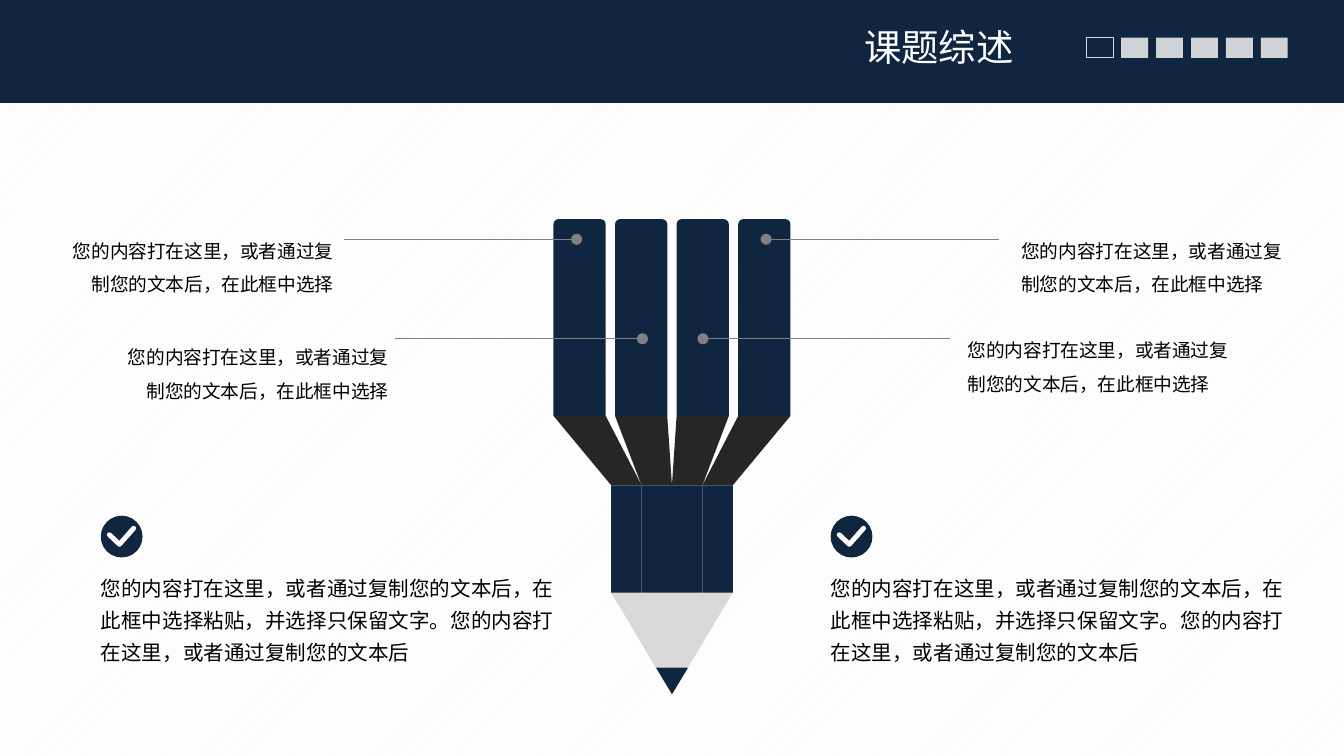
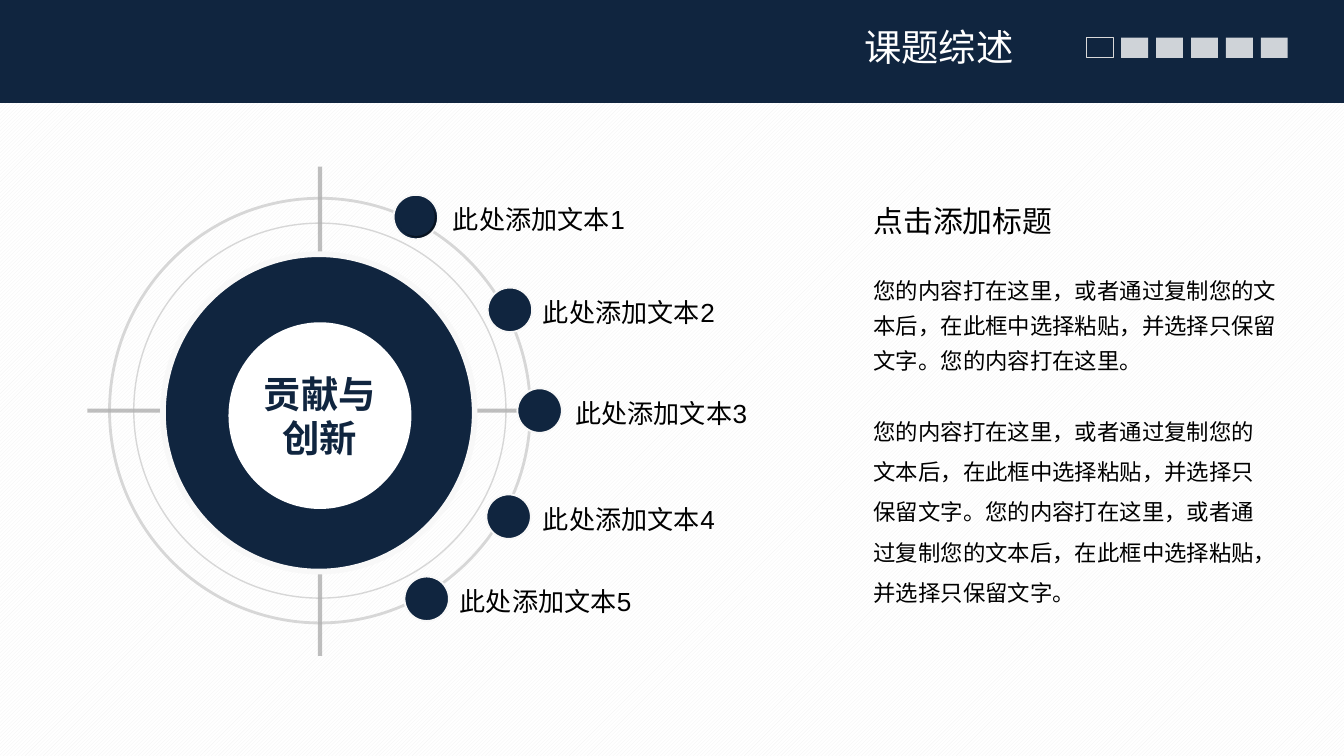
from dataclasses import dataclass

from lxml.etree import SubElement
from pptx import Presentation
from pptx.dml.color import RGBColor
from pptx.enum.dml import MSO_PATTERN
from pptx.enum.shapes import MSO_CONNECTOR, MSO_SHAPE as Preset
from pptx.enum.text import MSO_ANCHOR as Anchor, PP_ALIGN as Align
from pptx.oxml.ns import qn
from pptx.shapes.autoshape import Shape
from pptx.slide import Slide
from pptx.util import Pt

COLORS = {
    "navy": "10253F", "white": "FFFFFF", "hatch": "F2F2F2", "silver": "D9D9D9",
    "wood": "262626", "gray": "808080", "ring": "B2B2B2", "rim": "F8F8F8", "black": "000000",
}
CJK_FONT = "Noto Sans CJK SC"
LATIN_FONT = "Arial"
LINE_RATIO = 1.2
NO_INSET = (0, 0)
INSET = (5.8, 2.9)
TITLE_INSET = (7.2, 3.6)
PAGE_W, PAGE_H = 720, 405

SHORT_TEXT = "您的内容打在这里，或者通过复制您的文本后，在此框中选择"
PASTE_TEXT = SHORT_TEXT + "粘贴，并选择只保留文字。"
LONG_TEXT = PASTE_TEXT + "您的内容打在这里，或者通过复制您的文本后"


@dataclass(frozen=True)
class Style:
    size: float
    spacing: float = 1.0
    align: Align = Align.LEFT
    color: str = "black"
    font: str = CJK_FONT
    bold: bool = False
    inset: tuple[float, float] = INSET
    anchor: Anchor = Anchor.TOP
    wrap: bool = True


@dataclass(frozen=True)
class Callout:
    text_x: float
    text_y: float
    line_from: float
    line_to: float
    line_y: float
    align: Align


@dataclass(frozen=True)
class Topic:
    x: float
    y: float
    label_x: float


TITLE = Style(20, align=Align.RIGHT, color="white", inset=TITLE_INSET)
NOTE = Style(11, 1.3, inset=NO_INSET)
HUB = Style(20, align=Align.CENTER, color="navy", font=LATIN_FONT, bold=True,
            anchor=Anchor.MIDDLE, wrap=False)
LABEL = Style(14, font=LATIN_FONT, anchor=Anchor.MIDDLE)
HEADING = Style(16)

CALLOUTS = [
    Callout(36.7, 122.4, 184.3, 308.9, 128.2, Align.RIGHT),
    Callout(66.2, 179.3, 211.7, 344.2, 181.5, Align.RIGHT),
    Callout(547.2, 122.4, 535, 410.4, 128.2, Align.LEFT),
    Callout(518.4, 175.7, 509, 376.6, 181.5, Align.LEFT),
]
TOPICS = [
    Topic(222.8, 116.3, 236.9),
    Topic(273.2, 166, 285.1),
    Topic(289.1, 220, 302.4),
    Topic(272.5, 276.8, 285.1),
    Topic(228.6, 320.8, 240.5),
]


def rgb(color: str) -> RGBColor:
    return RGBColor.from_string(COLORS[color])


def set_alpha(holder, percent: int) -> None:
    for color in holder.iter(qn("a:srgbClr")):
        SubElement(color, qn("a:alpha")).set("val", str(percent * 1000))


def paint(shape: Shape, fill: str | None, line: str | None = None, width: float = 0) -> Shape:
    shape.shadow.inherit = False
    if fill:
        shape.fill.solid()
        shape.fill.fore_color.rgb = rgb(fill)
    else:
        shape.fill.background()
    if line:
        shape.line.color.rgb = rgb(line)
        shape.line.width = Pt(width)
    else:
        shape.line.fill.background()
    return shape


def add_preset(slide: Slide, kind: Preset, x: float, y: float, w: float, h: float,
               fill: str | None, line: str | None = None, width: float = 0) -> Shape:
    return paint(slide.shapes.add_shape(kind, Pt(x), Pt(y), Pt(w), Pt(h)), fill, line, width)


def add_ellipse(slide: Slide, cx: float, cy: float, w: float, h: float,
                fill: str | None, line: str | None = None, width: float = 0) -> Shape:
    return add_preset(slide, Preset.OVAL, cx - w / 2, cy - h / 2, w, h, fill, line, width)


def add_outline(slide: Slide, points: list[tuple[float, float]], fill: str,
                line: str | None = None, width: float = 0, close: bool = True) -> Shape:
    corners = [(Pt(x), Pt(y)) for x, y in points]
    builder = slide.shapes.build_freeform(*corners[0], scale=1.0)
    builder.add_line_segments(corners[1:], close=close)
    return paint(builder.convert_to_shape(), fill, line, width)


def add_line(slide: Slide, x1: float, y1: float, x2: float, y2: float, width: float,
             alpha: int = 100, dot: bool = False) -> None:
    rule = slide.shapes.add_connector(MSO_CONNECTOR.STRAIGHT, Pt(x1), Pt(y1), Pt(x2), Pt(y2))
    rule.line.color.rgb = rgb("gray")
    rule.line.width = Pt(width)
    properties = rule._element.spPr
    if alpha < 100:
        set_alpha(properties, alpha)
    if dot:
        SubElement(properties.find(qn("a:ln")), qn("a:tailEnd")).set("type", "oval")
    SubElement(properties, qn("a:effectLst"))


def write(shape: Shape, lines: list[str], style: Style) -> None:
    frame = shape.text_frame
    side, edge = (Pt(value) for value in style.inset)
    frame_format = {
        "word_wrap": style.wrap, "vertical_anchor": style.anchor,
        "margin_left": side, "margin_right": side, "margin_top": edge, "margin_bottom": edge,
    }
    for attribute, value in frame_format.items():
        setattr(frame, attribute, value)
    font_format = {"size": Pt(style.size), "name": style.font, "bold": style.bold}
    for index, line in enumerate(lines):
        paragraph = frame.add_paragraph() if index else frame.paragraphs[0]
        paragraph.alignment = style.align
        paragraph.line_spacing = Pt(round(style.size * LINE_RATIO * style.spacing, 1))
        run = paragraph.add_run()
        run.text = line
        for attribute, value in font_format.items():
            setattr(run.font, attribute, value)
        run.font.color.rgb = rgb(style.color)
        SubElement(run.font._element, qn("a:ea")).set("typeface", CJK_FONT)


def add_text(slide: Slide, text: str, x: float, y: float, w: float, h: float,
             style: Style) -> None:
    write(slide.shapes.add_textbox(Pt(x), Pt(y), Pt(w), Pt(h)), [text], style)


def add_page(deck: Presentation, title: str) -> Slide:
    slide = deck.slides.add_slide(deck.slide_layouts[6])
    backdrop = slide.background.fill
    backdrop.patterned()
    backdrop.pattern = MSO_PATTERN.LIGHT_UPWARD_DIAGONAL
    backdrop.fore_color.rgb = rgb("hatch")
    backdrop.back_color.rgb = rgb("white")
    add_preset(slide, Preset.RECTANGLE, 0, 0, PAGE_W, 55.2, "navy")
    for step in range(6):
        spot = (582 + 18.7 * step, 20.2, 14.4, 10.8)
        if step == 0:
            add_preset(slide, Preset.RECTANGLE, *spot, None, "silver", 0.5)
        else:
            marker = add_preset(slide, Preset.RECTANGLE, *spot, "white")
            set_alpha(marker._element.spPr, 80)
    add_text(slide, title, 255.6, 9.4, 294.5, 36, TITLE)
    return slide


def draw_pencil(slide: Slide) -> None:
    center, strip_w, strip_gap, sleeve_w = 360, 28, 5, 16.3
    strip_top, strip_end, sleeve_top, sleeve_end = 117.4, 222.8, 260, 317.5
    sleeve_point, lead_top, tip = 325.4, 357.7, 372
    strips_x = center - 2 * strip_w - 1.5 * strip_gap
    sleeve_x = center - 2 * sleeve_w
    for column in range(4):
        left = strips_x + column * (strip_w + strip_gap)
        right = left + strip_w
        inner_left = sleeve_x + column * sleeve_w
        inner_right = inner_left + sleeve_w
        strip = add_preset(slide, Preset.ROUND_2_SAME_RECTANGLE, left, strip_top, strip_w,
                           strip_end - strip_top, "navy")
        strip.adjustments[0] = 0.1
        add_outline(slide, [(inner_right, sleeve_end),
                            ((inner_left + inner_right) / 2, sleeve_point),
                            (inner_left, sleeve_end), (inner_left, sleeve_top),
                            (inner_right, sleeve_top)], "navy")
        add_outline(slide, [(inner_right, sleeve_top), (inner_left, sleeve_top),
                            (left, strip_end), (right, strip_end)], "wood")
    half_sleeve, half_lead = 2 * sleeve_w, 8.6
    add_outline(slide, [(center + half_sleeve, sleeve_end), (center - half_sleeve, sleeve_end),
                        (center - half_lead, lead_top), (center + half_lead, lead_top)], "silver")
    add_outline(slide, [(center + half_lead, lead_top), (center - half_lead, lead_top),
                        (center, tip)], "navy")


def draw_checked_note(slide: Slide, x: float) -> None:
    top, size = 276.3, 22.4
    add_preset(slide, Preset.OVAL, x, top, size, size, "navy")
    tick = add_outline(slide, [(x + 4.6, top + 10.2), (x + 10, top + 15.3),
                               (x + 17.6, top + 6.7)], "navy", "white", 2.63, close=False)
    stroke = tick._element.spPr.find(qn("a:ln"))
    stroke.set("cap", "rnd")
    SubElement(stroke, qn("a:round"))
    add_text(slide, LONG_TEXT, x, 304.6, 244, 51.8, NOTE)


def draw_target(slide: Slide) -> None:
    cx, cy = 171.4, 220
    add_line(slide, 46.8, cy, 295.9, cy, 2.25, alpha=50)
    add_line(slide, cx, 89.3, cx, 351.4, 2.25, alpha=50)
    for w, h, width in ((199.4, 200.9, 0.75), (225.4, 227.5, 1.5)):
        ring = add_ellipse(slide, cx, cy, w, h, None, "ring", width)
        set_alpha(ring._element.spPr, 50)
    add_ellipse(slide, 170.8, 221.2, 167, 170, "navy", "rim", 3)
    add_ellipse(slide, 170.8, 221.2, 152.6, 156.2, "navy")
    hub = add_ellipse(slide, cx, 222.7, 98, 100, "white")
    write(hub, ["贡献与", "创新"], HUB)


def draw_topic(slide: Slide, number: int, topic: Topic) -> None:
    add_text(slide, f"此处添加文本{number}", topic.label_x, topic.y - 10.3, 146.2, 23, LABEL)
    add_ellipse(slide, topic.x, topic.y, 23.8, 23.8, "navy", "rim", 1)
    core = add_ellipse(slide, topic.x, topic.y, 20.2, 20.2, "navy")
    if number == 1:
        shade = SubElement(core._element.spPr.find(qn("a:effectLst")), qn("a:outerShdw"))
        for key, value in {"blurRad": 0, "dist": Pt(1.4), "dir": 45 * 60000}.items():
            shade.set(key, str(int(value)))
        SubElement(shade, qn("a:srgbClr")).set("val", COLORS["black"])
        set_alpha(shade, 50)


def build_pencil_page(deck: Presentation) -> None:
    slide = add_page(deck, "课题综述")
    draw_pencil(slide)
    for item in CALLOUTS:
        add_text(slide, SHORT_TEXT, item.text_x, item.text_y, 141.8, 36,
                 Style(10, 1.5, item.align, inset=NO_INSET))
        add_line(slide, item.line_from, item.line_y, item.line_to, item.line_y, 0.5, dot=True)
    for x in (54, 445):
        draw_checked_note(slide, x)


def build_target_page(deck: Presentation) -> None:
    slide = add_page(deck, "课题综述")
    draw_target(slide)
    for number, topic in enumerate(TOPICS, start=1):
        draw_topic(slide, number, topic)
    column_x = 462.2
    add_text(slide, "点击添加标题", column_x, 105.8, 113, 25.2, HEADING)
    add_text(slide, PASTE_TEXT + "您的内容打在这里。", column_x, 141.1, 238.3, 81.4,
             Style(12, 1.3))
    add_text(slide, PASTE_TEXT + PASTE_TEXT, column_x, 213.8, 226.8, 136.8, Style(12, 1.5))


def main() -> None:
    deck = Presentation()
    deck.slide_width, deck.slide_height = Pt(PAGE_W), Pt(PAGE_H)
    build_pencil_page(deck)
    build_target_page(deck)
    deck.save("out.pptx")


main()
